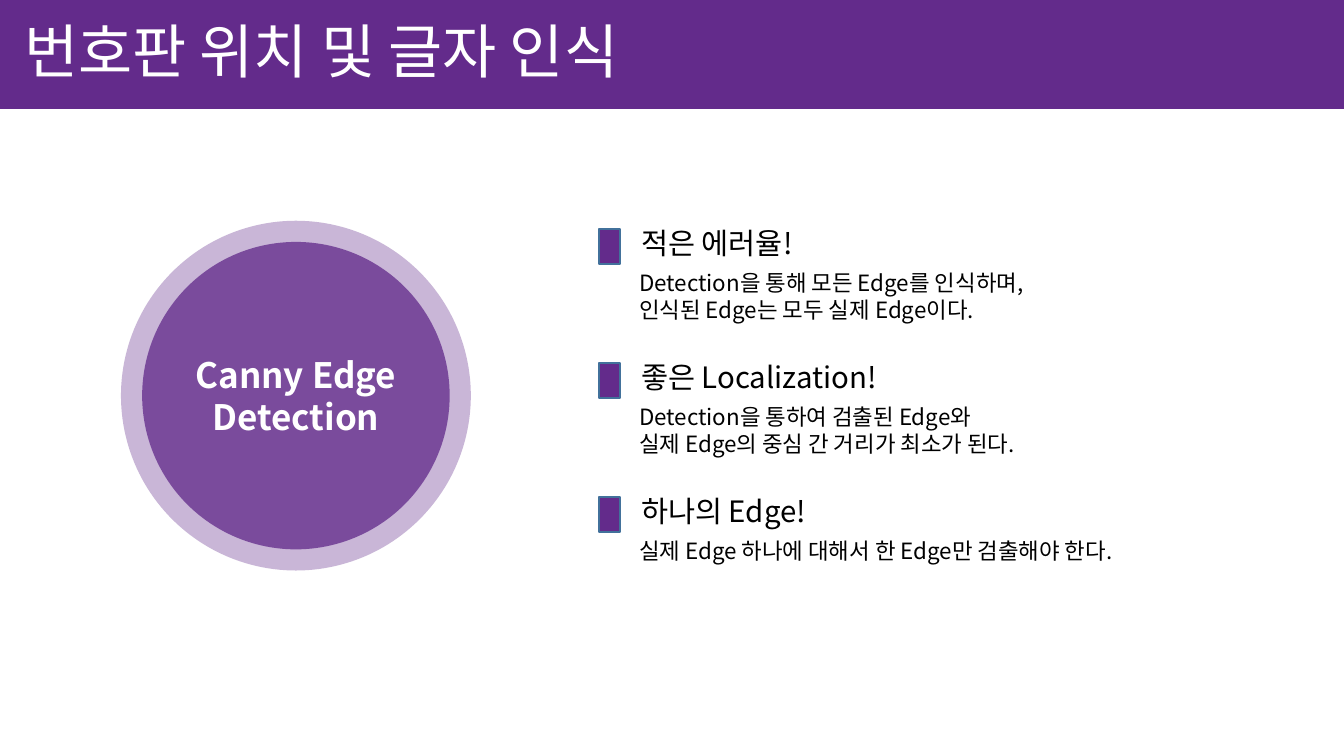
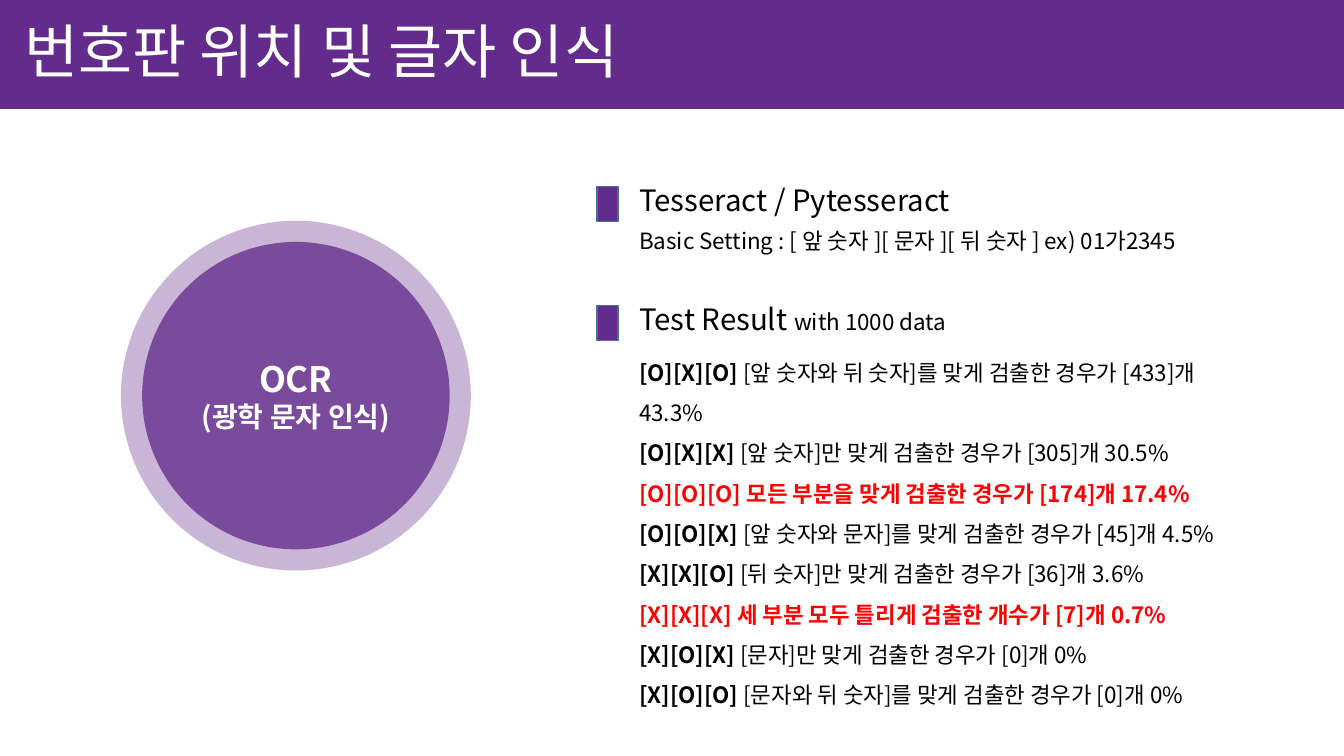
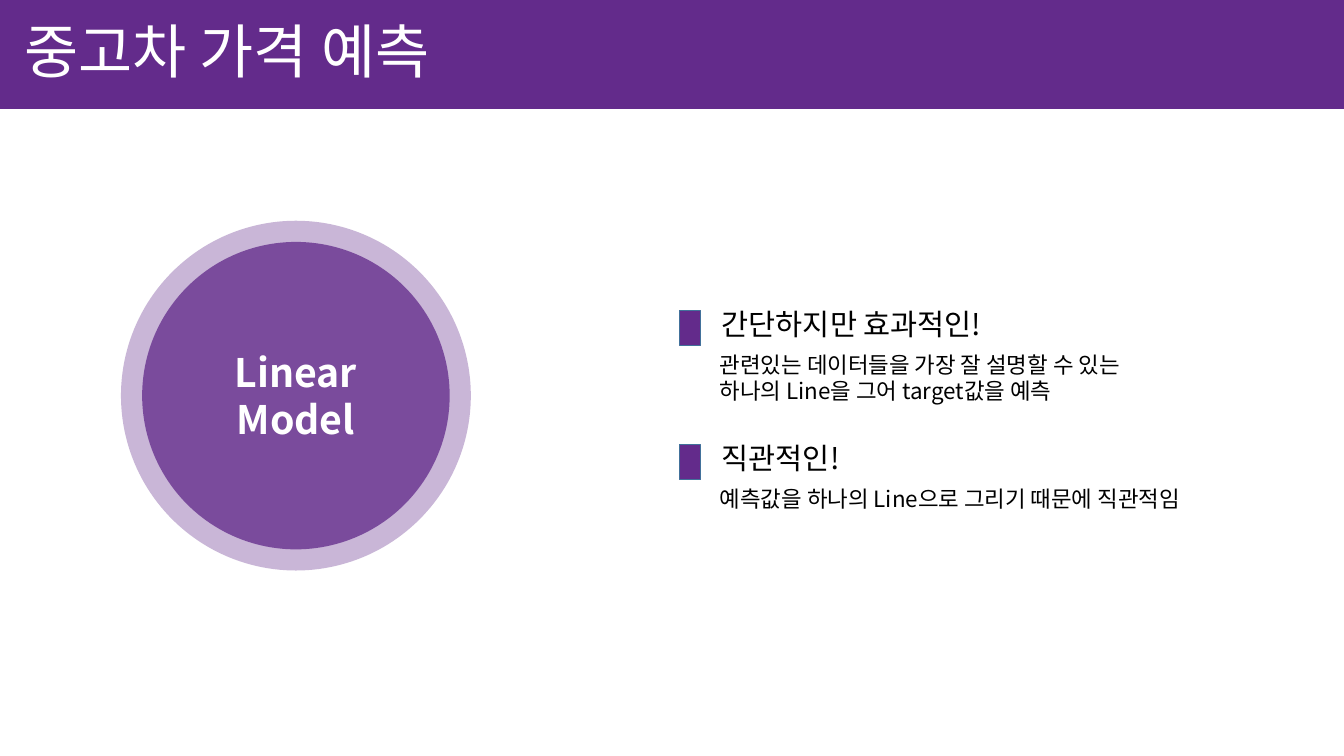
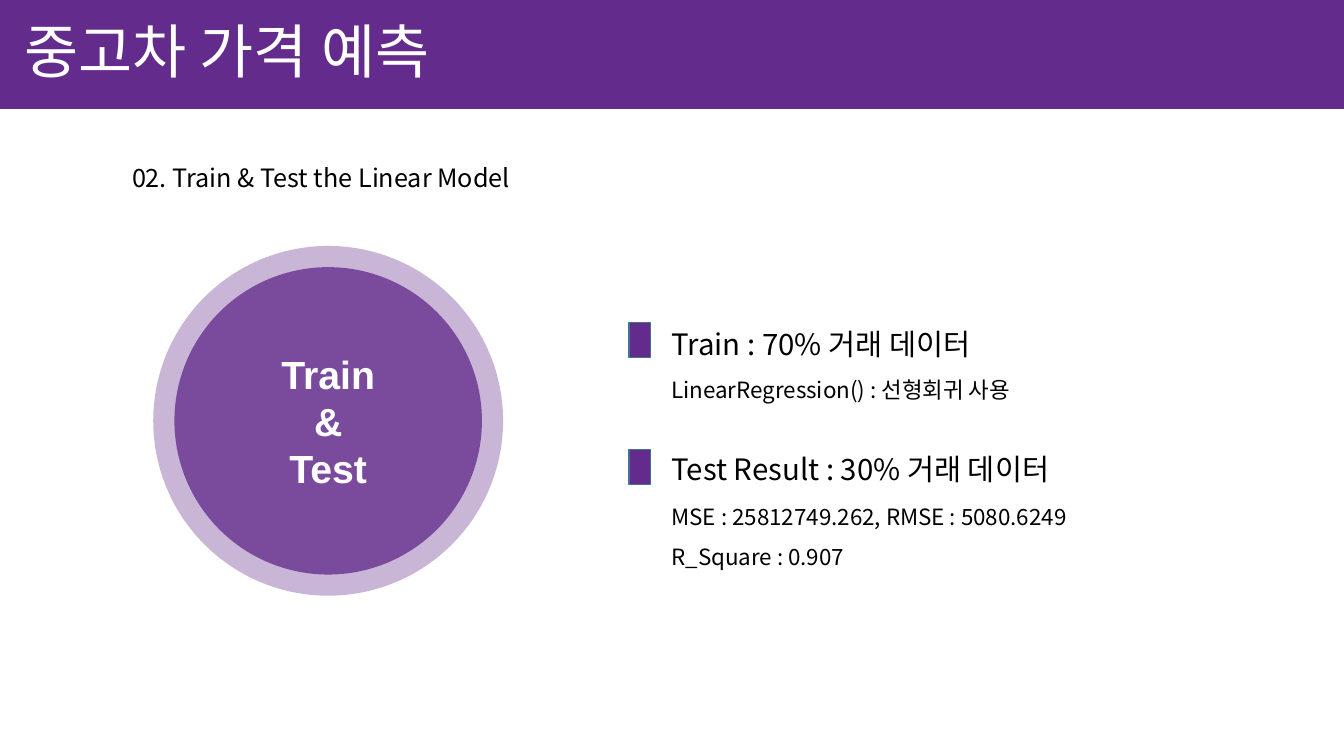
import dataclasses

import lxml.etree
import pptx
import pptx.dml.color
import pptx.enum.shapes
import pptx.enum.text
import pptx.oxml.ns
import pptx.util

PX = 9144
SHAPES = pptx.enum.shapes.MSO_SHAPE
ALIGN = pptx.enum.text.PP_ALIGN
ANCHOR = pptx.enum.text.MSO_ANCHOR
AUTO_SIZE = pptx.enum.text.MSO_AUTO_SIZE


@dataclasses.dataclass(frozen=True)
class Theme:
    purple: str = "632B8B"
    outline: str = "42719B"
    white: str = "FFFFFF"
    black: str = "000000"
    red: str = "FF0000"
    font: str = "Noto Sans CJK KR"
    circle_font: str = "Arial"
    title: int = 42
    circle_large: int = 28
    circle: int = 25
    circle_small: int = 20
    heading: int = 21
    subtitle: int = 18
    body: int = 16
    ring_opacity: int = 34
    disc_opacity: int = 77


THEME = Theme()


def px(*lengths):
    return [pptx.util.Emu(length * PX) for length in lengths]


def rgb(color):
    return pptx.dml.color.RGBColor.from_string(color)


def set_attributes(target, values):
    for name, value in values.items():
        setattr(target, name, value)


def add_solid(slide, kind, box, opacity=100, outline=None):
    shape = slide.shapes.add_shape(kind, *px(*box))
    shape.shadow.inherit = False
    shape.fill.solid()
    shape.fill.fore_color.rgb = rgb(THEME.purple)
    if opacity < 100:
        color = shape.fill._xPr.find(".//" + pptx.oxml.ns.qn("a:srgbClr"))
        lxml.etree.SubElement(color, pptx.oxml.ns.qn("a:alpha"), val=str(opacity * 1000))
    if outline:
        shape.line.color.rgb = rgb(outline)
        shape.line.width = pptx.util.Pt(1)
    else:
        shape.line.fill.background()
    return shape


def add_run(paragraph, text, size, color=THEME.black, bold=False, name=THEME.font):
    run = paragraph.add_run()
    run.text = text
    set_attributes(run.font, {"size": pptx.util.Pt(size), "bold": bold, "name": name})
    run.font.color.rgb = rgb(color)
    lxml.etree.SubElement(run.font._element, pptx.oxml.ns.qn("a:ea"), typeface=name)


def write(shape, paragraphs, frame_format=None, **paragraph_format):
    frame = shape.text_frame
    margins = dict.fromkeys(
        ("margin_left", "margin_top", "margin_right", "margin_bottom"), px(5)[0]
    )
    set_attributes(frame, {"word_wrap": True, **margins, **(frame_format or {})})
    for index, runs in enumerate(paragraphs):
        paragraph = frame.add_paragraph() if index else frame.paragraphs[0]
        set_attributes(paragraph, paragraph_format)
        for run in runs:
            add_run(paragraph, **run)


def add_text(slide, box, paragraphs, **paragraph_format):
    shape = slide.shapes.add_textbox(*px(*box))
    write(shape, paragraphs, {"auto_size": AUTO_SIZE.SHAPE_TO_FIT_TEXT}, **paragraph_format)


def plain(size, *lines):
    return [[{"text": line, "size": size}] for line in lines]


def add_titled_slide(presentation, text):
    slide = presentation.slides.add_slide(presentation.slide_layouts[5])
    band = add_solid(slide, SHAPES.RECTANGLE, (0, 0, 1333, 108))
    title = slide.shapes.title
    title.element.addprevious(band.element)
    left, top, width, height = px(14, 10, 656, 81)
    set_attributes(title, {"left": left, "top": top, "width": width, "height": height})
    frame_format = {
        "word_wrap": False,
        "auto_size": AUTO_SIZE.NONE,
        "vertical_anchor": ANCHOR.TOP,
        "margin_left": px(10)[0],
    }
    run = {"text": text, "size": THEME.title, "color": THEME.white}
    write(title, [[run]], frame_format, alignment=ALIGN.LEFT)
    return slide


def add_circle(slide, lines, left=120, top=219, diameter=347, border=21, name=THEME.font):
    add_solid(slide, SHAPES.OVAL, (left, top, diameter, diameter), THEME.ring_opacity)
    inner = diameter - 2 * border
    box = (left + border, top + border, inner, inner)
    disc = add_solid(slide, SHAPES.OVAL, box, THEME.disc_opacity)
    paragraphs = [
        [{"text": text, "size": size, "color": THEME.white, "bold": True, "name": name}]
        for text, size in lines
    ]
    write(disc, paragraphs, {"vertical_anchor": ANCHOR.MIDDLE}, alignment=ALIGN.CENTER)


def add_point(slide, left, top, heading, body, heading_shift=-9, body_indent=37,
              body_shift=35, line_spacing=1.0):
    width = 623
    add_solid(slide, SHAPES.RECTANGLE, (left, top, 21, 35), outline=THEME.outline)
    line_height = 28 if line_spacing == 1 else 40
    body_box = (left + body_indent, top + body_shift, width, 10 + line_height * len(body))
    add_text(slide, body_box, body, line_spacing=line_spacing)
    add_text(slide, (left + 37, top + heading_shift, width, 45), [heading])


def add_points(slide, left, top, points, pitch=133):
    for index, (heading, *lines) in enumerate(points):
        add_point(
            slide, left, top + index * pitch,
            plain(THEME.heading, heading)[0], plain(THEME.body, *lines), body_indent=35,
        )


def result_row(pattern, text, highlighted=False):
    color = THEME.red if highlighted else THEME.black
    return [
        {"text": pattern + " ", "size": THEME.body, "color": color, "bold": True},
        {"text": text, "size": THEME.body, "color": color, "bold": highlighted},
    ]


def build_canny_slide(presentation):
    slide = add_titled_slide(presentation, "번호판 위치 및 글자 인식")
    add_circle(slide, [("Canny Edge Detection", THEME.circle)])
    add_points(slide, 594, 227, [
        ("적은 에러율!", "Detection을 통해 모든 Edge를 인식하며,", "인식된 Edge는 모두 실제 Edge이다."),
        ("좋은 Localization!", "Detection을 통하여 검출된 Edge와", "실제 Edge의 중심 간 거리가 최소가 된다."),
        ("하나의 Edge!", "실제 Edge 하나에 대해서 한 Edge만 검출해야 한다."),
    ])


def build_ocr_slide(presentation):
    slide = add_titled_slide(presentation, "번호판 위치 및 글자 인식")
    add_circle(slide, [("OCR", THEME.circle), ("(광학 문자 인식)", THEME.circle_small)])
    add_point(
        slide, 592, 185,
        plain(THEME.heading, "Tesseract / Pytesseract")[0],
        plain(THEME.body, "Basic Setting : [ 앞 숫자 ][ 문자 ][ 뒤 숫자 ] ex) 01가2345"),
    )
    results = [
        ("[O][X][O]", "[앞 숫자와 뒤 숫자]를 맞게 검출한 경우가 [433]개 43.3%"),
        ("[O][X][X]", "[앞 숫자]만 맞게 검출한 경우가 [305]개 30.5%"),
        ("[O][O][O]", "모든 부분을 맞게 검출한 경우가 [174]개 17.4%", True),
        ("[O][O][X]", "[앞 숫자와 문자]를 맞게 검출한 경우가 [45]개 4.5%"),
        ("[X][X][O]", "[뒤 숫자]만 맞게 검출한 경우가 [36]개 3.6%"),
        ("[X][X][X]", "세 부분 모두 틀리게 검출한 개수가 [7]개 0.7%", True),
        ("[X][O][X]", "[문자]만 맞게 검출한 경우가 [0]개 0%"),
        ("[X][O][O]", "[문자와 뒤 숫자]를 맞게 검출한 경우가 [0]개 0%"),
    ]
    heading = [
        {"text": "Test Result ", "size": THEME.heading},
        {"text": "with 1000 data", "size": THEME.body},
    ]
    add_point(slide, 592, 303, heading, [result_row(*row) for row in results], line_spacing=1.5)


def build_linear_model_slide(presentation):
    slide = add_titled_slide(presentation, "중고차 가격 예측")
    add_circle(slide, [("Linear Model", THEME.circle_large)])
    add_points(slide, 674, 308, [
        ("간단하지만 효과적인!", "관련있는 데이터들을 가장 잘 설명할 수 있는", "하나의 Line을 그어 target값을 예측"),
        ("직관적인!", "예측값을 하나의 Line으로 그리기 때문에 직관적임"),
    ])


def build_train_test_slide(presentation):
    slide = add_titled_slide(presentation, "중고차 가격 예측")
    add_text(slide, (126, 156, 446, 40), plain(THEME.subtitle, "02. Train & Test the Linear Model"))
    words = [(word, THEME.circle_large) for word in ("Train", "&", "Test")]
    add_circle(slide, words, left=152, top=244, name=THEME.circle_font)
    points = [
        (320, -1, "Train : 70% 거래 데이터", ["LinearRegression() : 선형회귀 사용"]),
        (446, -3, "Test Result : 30% 거래 데이터",
         ["MSE : 25812749.262, RMSE : 5080.6249", "R_Square : 0.907"]),
    ]
    for top, heading_shift, heading, lines in points:
        add_point(
            slide, 624, top, plain(THEME.heading, heading)[0], plain(THEME.body, *lines),
            heading_shift=heading_shift, line_spacing=1.5,
        )


def main():
    presentation = pptx.Presentation()
    presentation.slide_width, presentation.slide_height = px(1333, 750)
    build_canny_slide(presentation)
    build_ocr_slide(presentation)
    build_linear_model_slide(presentation)
    build_train_test_slide(presentation)
    presentation.save("out.pptx")


if __name__ == "__main__":
    main()
